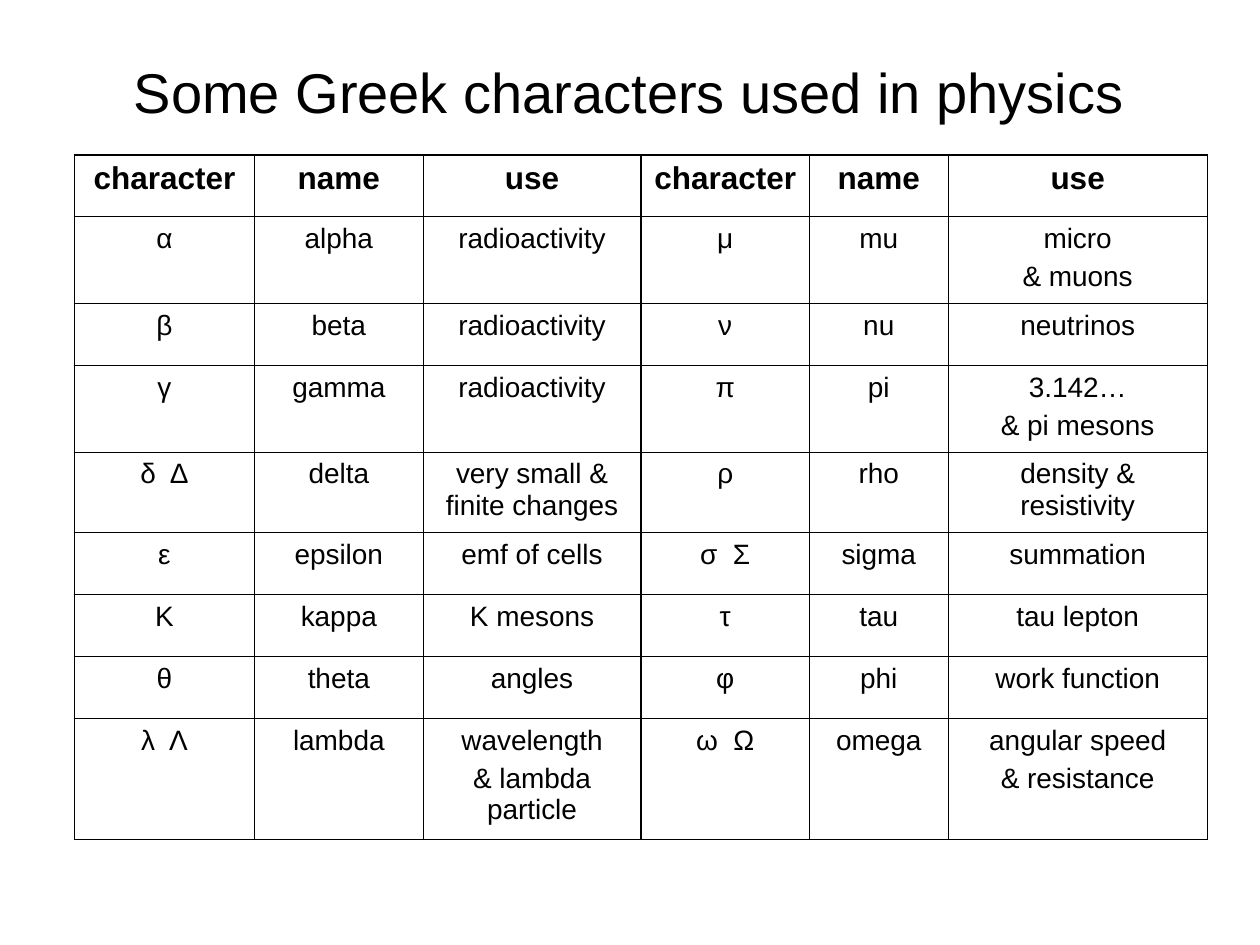
from lxml import etree
from pptx import Presentation
from pptx.dml.color import RGBColor
from pptx.enum.text import MSO_ANCHOR, PP_ALIGN
from pptx.oxml.ns import qn
from pptx.util import Cm, Pt

CENTER = PP_ALIGN.CENTER
MIDDLE = MSO_ANCHOR.MIDDLE
TITLE_ONLY = 5

COLORS = {"text": "000000", "border": "000000"}
THICK, THIN = Pt(1.08), Pt(0.45)

TITLE_FORMAT = {"size": Pt(32), "bold": False, "name": "Arial"}
HEADER_FORMAT = {"size": Pt(18), "bold": True, "name": "Arial"}
BODY_FORMAT = {"size": Pt(16), "bold": False, "name": "Arial"}

HEADINGS = ("character", "name", "use")
GROUP = len(HEADINGS)

# Each line break starts a new paragraph
LETTERS = [
    ("α", "alpha", "radioactivity", "μ", "mu", "micro\n& muons"),
    ("β", "beta", "radioactivity", "ν", "nu", "neutrinos"),
    ("γ", "gamma", "radioactivity", "π", "pi", "3.142…\n& pi mesons"),
    ("δ  Δ", "delta", "very small & finite changes",
     "ρ", "rho", "density & resistivity"),
    ("ε", "epsilon", "emf of cells", "σ  Σ", "sigma", "summation"),
    ("Κ", "kappa", "K mesons", "τ", "tau", "tau lepton"),
    ("θ", "theta", "angles", "φ", "phi", "work function"),
    ("λ  Λ", "lambda", "wavelength\n& lambda particle",
     "ω  Ω", "omega", "angular speed\n& resistance"),
]
COLUMN_WIDTHS = [3.63, 3.4, 4.39, 3.4, 2.79, 5.23]
ROW_HEIGHTS = [1.25, 1.75, 1.25, 1.75, 1.62, 1.25, 1.25, 1.25, 2.43]


def format_text(frame, font_format, space_before=0):
    for paragraph in frame.paragraphs:
        paragraph.alignment = CENTER
        paragraph.space_before = Pt(space_before)
        for run in paragraph.runs:
            for attribute, value in font_format.items():
                setattr(run.font, attribute, value)
            run.font.color.rgb = RGBColor.from_string(COLORS["text"])


def set_borders(cell, widths):
    """Add the cell's border lines, which must precede its fill."""
    properties = cell._tc.get_or_add_tcPr()
    for position, (side, width) in enumerate(widths.items()):
        line = etree.Element(qn(f"a:ln{side}"), w=str(width))
        fill = etree.SubElement(line, qn("a:solidFill"))
        etree.SubElement(fill, qn("a:srgbClr"), val=COLORS["border"])
        properties.insert(position, line)


def add_title(slide, left, top, width, height):
    title = slide.shapes.title
    title.left, title.top, title.width, title.height = left, top, width, height
    title.text_frame.text = "Some Greek characters used in physics"
    title.text_frame.vertical_anchor = MIDDLE
    format_text(title.text_frame, TITLE_FORMAT)


def add_letter_table(slide, left, top, width, height):
    rows = [HEADINGS * 2] + LETTERS
    table = slide.shapes.add_table(
        len(rows), len(COLUMN_WIDTHS), left, top, width, height).table
    table.first_row = table.horz_banding = False
    for column, column_width in zip(table.columns, COLUMN_WIDTHS):
        column.width = Cm(column_width)
    for row, row_height in zip(table.rows, ROW_HEIGHTS):
        row.height = Cm(row_height)

    for r, entries in enumerate(rows):
        for c, entry in enumerate(entries):
            cell = table.cell(r, c)
            cell.text = entry
            cell.fill.background()
            if r == 0:
                format_text(cell.text_frame, HEADER_FORMAT, 4.5)
            else:
                format_text(cell.text_frame, BODY_FORMAT, 4)
            # Thick lines frame each group of three columns
            set_borders(cell, {
                "L": THICK if c % GROUP == 0 else THIN,
                "R": THICK if c % GROUP == GROUP - 1 else THIN,
                "T": THICK if r == 0 else THIN,
                "B": THICK if r == len(rows) - 1 else THIN,
            })


def main():
    presentation = Presentation()
    presentation.slide_width, presentation.slide_height = Cm(25.4), Cm(19.05)
    slide = presentation.slides.add_slide(
        presentation.slide_layouts[TITLE_ONLY])
    add_title(slide, Cm(1.27), Cm(0.76), Cm(22.83), Cm(2.16))
    add_letter_table(slide, Cm(1.5), Cm(3.12),
                     Cm(sum(COLUMN_WIDTHS)), Cm(sum(ROW_HEIGHTS)))
    presentation.save("out.pptx")


if __name__ == "__main__":
    main()
